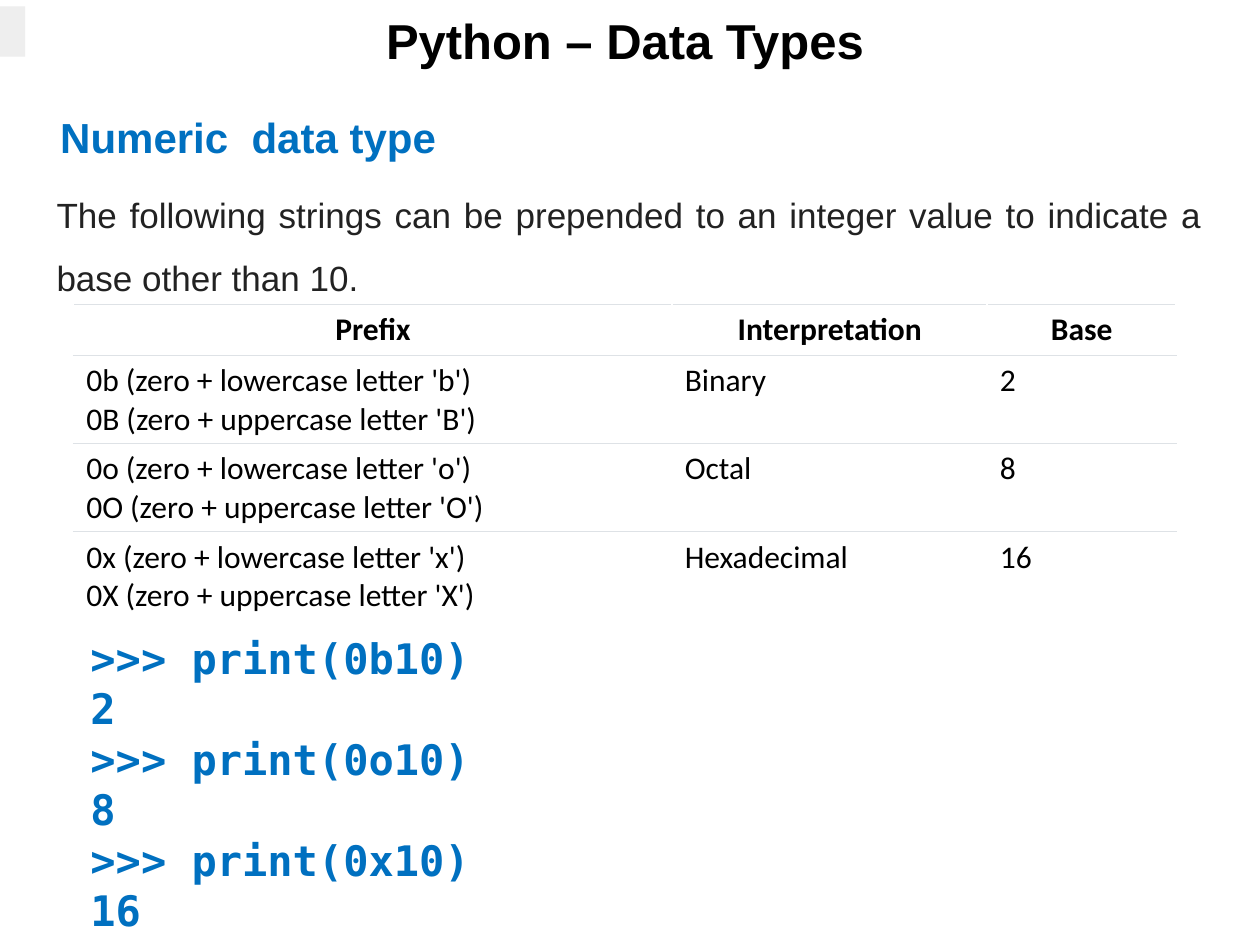
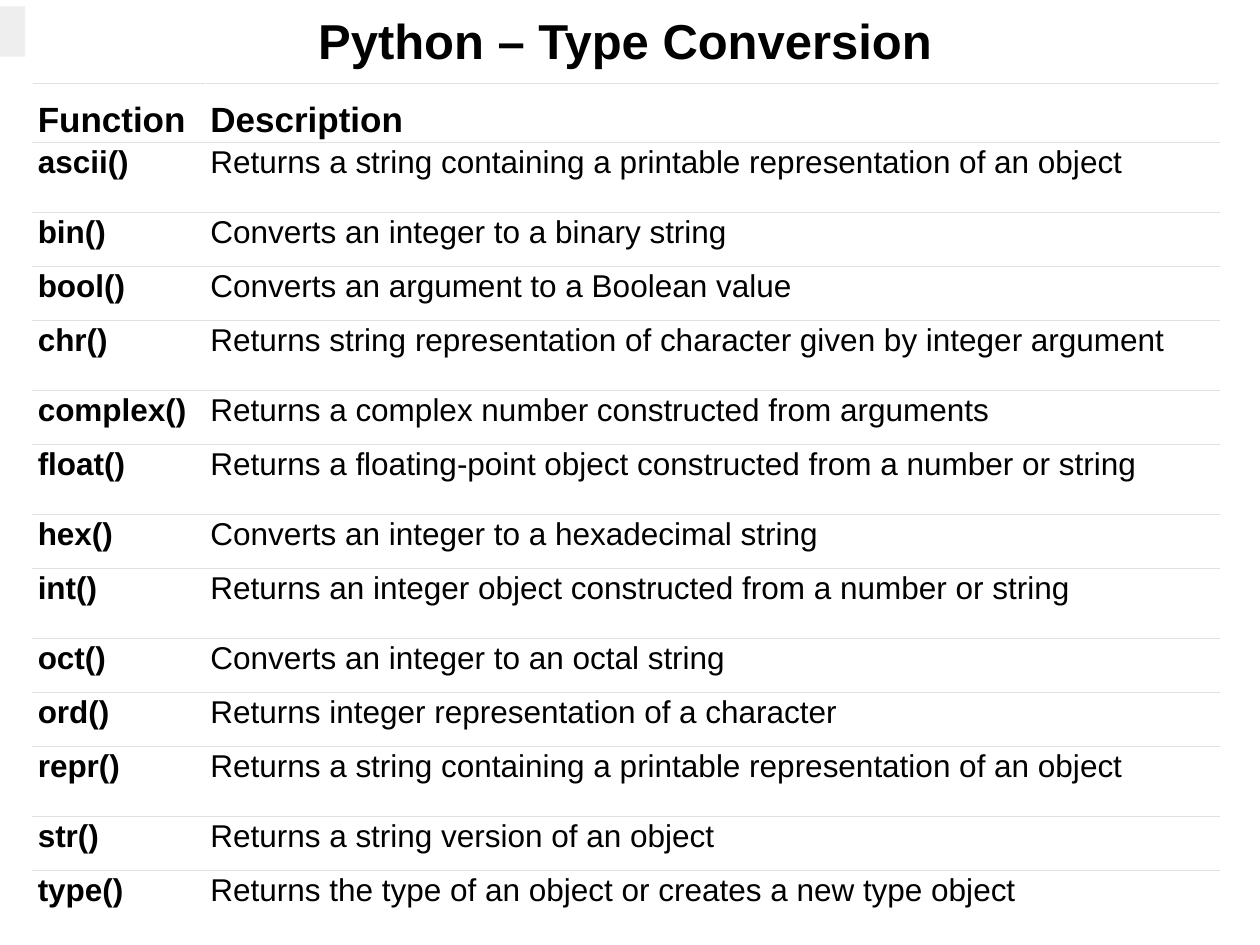
from lxml import etree
from pptx import Presentation
from pptx.dml.color import RGBColor
from pptx.enum.shapes import MSO_SHAPE
from pptx.enum.text import MSO_ANCHOR, MSO_AUTO_SIZE, PP_ALIGN
from pptx.oxml import parse_xml
from pptx.oxml.ns import nsdecls
from pptx.util import Inches, Pt

LEFT, CENTER, JUSTIFY = PP_ALIGN.LEFT, PP_ALIGN.CENTER, PP_ALIGN.JUSTIFY
TOP, MIDDLE, BOTTOM = MSO_ANCHOR.TOP, MSO_ANCHOR.MIDDLE, MSO_ANCHOR.BOTTOM
NO_AUTOFIT = MSO_AUTO_SIZE.NONE
RECTANGLE = MSO_SHAPE.RECTANGLE

COLORS = {
    "text": "000000",
    "accent": "0070C0",
    "body": "222222",
    "tab": "EEEEEE",
    "rule": "DEE2E6",
    "cell": "FFFFFF",
}
SANS, TABLE_FONT, MONO = "Arial", "Calibri", "DejaVu Sans Mono"

prs = Presentation()
prs.slide_width, prs.slide_height = Inches(10), Inches(7.5)
# One hundredth of the slide's width and height
X, Y = prs.slide_width / 100, prs.slide_height / 100


def write(tf, lines, font, size, color, bold=False, align=LEFT, spacing=1.0):
    """Fill a text frame with equally formatted paragraphs."""
    tf.word_wrap = True
    for i, line in enumerate(lines):
        p = tf.paragraphs[0] if i == 0 else tf.add_paragraph()
        p.text = line
        p.alignment, p.line_spacing = align, spacing
        p.space_before = Pt(0)
        p.font.name, p.font.size, p.font.bold = font, Pt(size), bold
        p.font.color.rgb = RGBColor.from_string(COLORS[color])


def add_ruled_table(s, left, top, widths, heights, rows, font, sizes,
                    header_align, bold_columns=(), margins=(0.1, 0.05)):
    """Add a white table with thin rules above each row; sizes are header, body."""
    tbl = s.shapes.add_table(len(rows), len(widths), int(left * X), int(top * Y),
                             int(sum(widths) * X), int(sum(heights) * Y)).table
    tbl.first_row = tbl.horz_banding = False
    for column, width in zip(tbl.columns, widths):
        column.width = int(width * X)
    for r, (values, height) in enumerate(zip(rows, heights)):
        tbl.rows[r].height = int(height * Y)
        header = r == 0
        for c, value in enumerate(values):
            cell = tbl.cell(r, c)
            cell.margin_left = cell.margin_right = Inches(margins[0])
            cell.margin_top = cell.margin_bottom = Inches(margins[1])
            cell.vertical_anchor = BOTTOM if header else TOP
            cell.fill.solid()
            cell.fill.fore_color.rgb = RGBColor.from_string(COLORS["cell"])
            write(cell.text_frame, [value], font, sizes[0 if header else 1], "text",
                  header or c in bold_columns, header_align if header else LEFT)
            edges = ["lnT"] if r == len(rows) - 1 else ["lnT", "lnB"]
            for i, edge in enumerate(edges):
                ln = parse_xml(f'<a:{edge} {nsdecls("a")} w="{Pt(0.75)}"/>')
                fill = etree.SubElement(ln, ln.tag.replace(edge, "solidFill"))
                etree.SubElement(fill, ln.tag.replace(edge, "srgbClr"), val=COLORS["rule"])
                cell._tc.get_or_add_tcPr().insert(i, ln)


# Title and side tab on every slide
slides = []
for title in ("Python – Data Types", "Python – Type Conversion"):
    s = prs.slides.add_slide(prs.slide_layouts[5])
    sp = s.shapes.title
    sp.left, sp.top = int(2.5 * X), int(0.13 * Y)
    sp.width, sp.height = int(94.2 * X), int(7.73 * Y)
    tf = sp.text_frame
    tf.auto_size, tf.vertical_anchor = NO_AUTOFIT, MIDDLE
    tf.margin_top, tf.margin_bottom = Inches(0.08), Inches(0.04)
    write(tf, [title], SANS, 28, "text", True, CENTER)

    tab = s.shapes.add_shape(RECTANGLE, 0, int(0.67 * Y), int(2 * X), int(5.33 * Y))
    tab.shadow.inherit = False
    tab.fill.solid()
    tab.fill.fore_color.rgb = RGBColor.from_string(COLORS["tab"])
    tab.line.fill.background()
    slides.append(s)

# Data types
s = slides[0]
code = []
for literal, result in (("0b10", "2"), ("0o10", "8"), ("0x10", "16")):
    code += [f">>> print({literal})", result]
intro = ("The following strings can be prepended to an integer value "
         "to indicate a base other than 10.")
text_boxes = [
    ((3.8, 8.53, 91.7, 8.4), ["Numeric  data type"],
     (SANS, 24, "accent", True, JUSTIFY, 1.5)),
    ((3.5, 17.6, 92.9, 14), [intro], (SANS, 20, "body", False, JUSTIFY, 1.5)),
    ((6.2, 66.27, 50, 33.6), code, (MONO, 24, "accent", True)),
]
for (x, y, w, h), lines, style in text_boxes:
    tb = s.shapes.add_textbox(int(x * X), int(y * Y), int(w * X), int(h * Y))
    write(tb.text_frame, lines, *style)

prefixes = [("Prefix", "Interpretation", "Base")]
for letter, name, base in (("b", "Binary", "2"), ("o", "Octal", "8"),
                           ("x", "Hexadecimal", "16")):
    upper = letter.upper()
    prefixes.append((f"0{letter} (zero + lowercase letter '{letter}')\v"
                     f"0{upper} (zero + uppercase letter '{upper}')", name, base))
add_ruled_table(s, 5.85, 32.2, (47.5, 25, 15), [5.4] + [9.33] * 3, prefixes,
                TABLE_FONT, (18, 18), CENTER)

# Type conversion
functions = [
    ("Function", "Description"),
    ("ascii()", "Returns a string containing a printable representation of an object"),
    ("bin()", "Converts an integer to a binary string"),
    ("bool()", "Converts an argument to a Boolean value"),
    ("chr()", "Returns string representation of character given by integer argument"),
    ("complex()", "Returns a complex number constructed from arguments"),
    ("float()", "Returns a floating-point object constructed from a number or string"),
    ("hex()", "Converts an integer to a hexadecimal string"),
    ("int()", "Returns an integer object constructed from a number or string"),
    ("oct()", "Converts an integer to an octal string"),
    ("ord()", "Returns integer representation of a character"),
    ("repr()", "Returns a string containing a printable representation of an object"),
    ("str()", "Returns a string version of an object"),
    ("type()", "Returns the type of an object or creates a new type object"),
]
# Descriptions longer than 60 characters get a taller row
heights = [6.27] + [7.43 if len(text) > 60 else 5.7 for _, text in functions[1:]]
add_ruled_table(slides[1], 2.6, 8.8, (13.7, 80.5), heights, functions, SANS,
                (20, 18), LEFT, bold_columns=(0,), margins=(0.04, 0.02))

prs.save("out.pptx")
